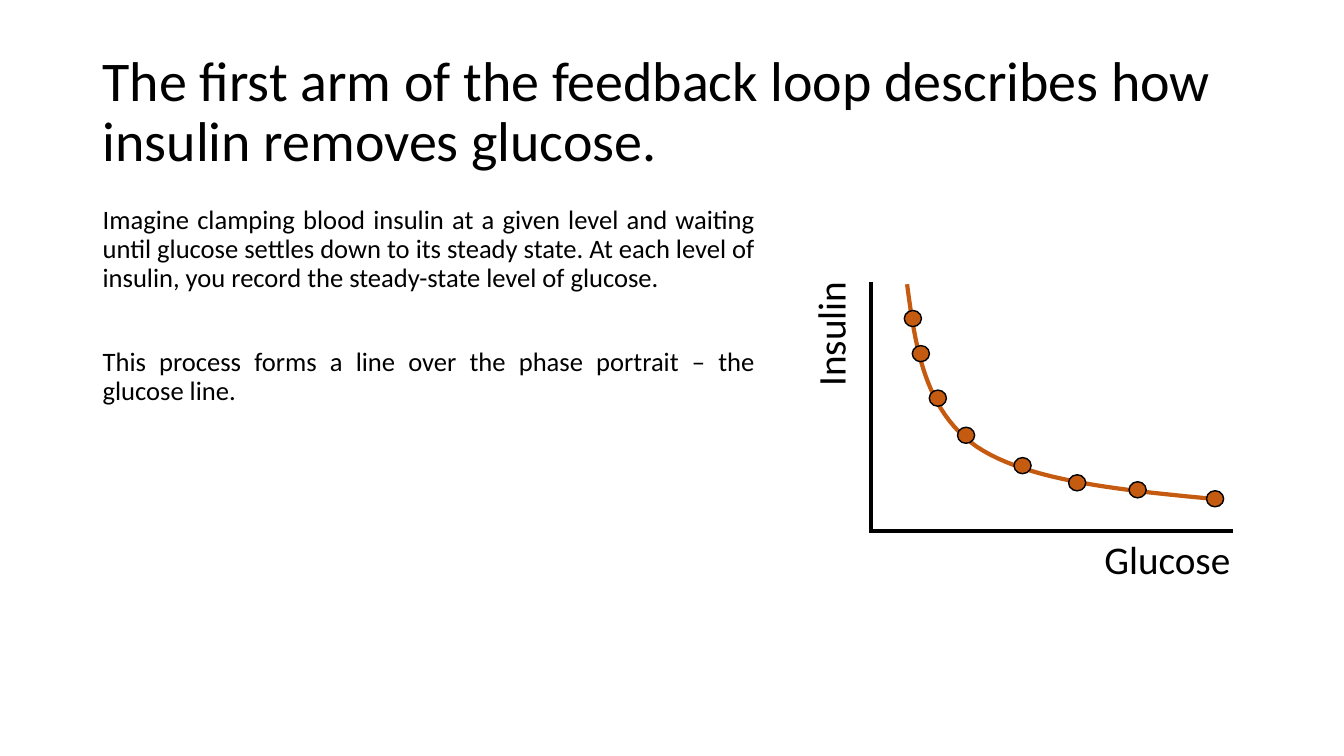
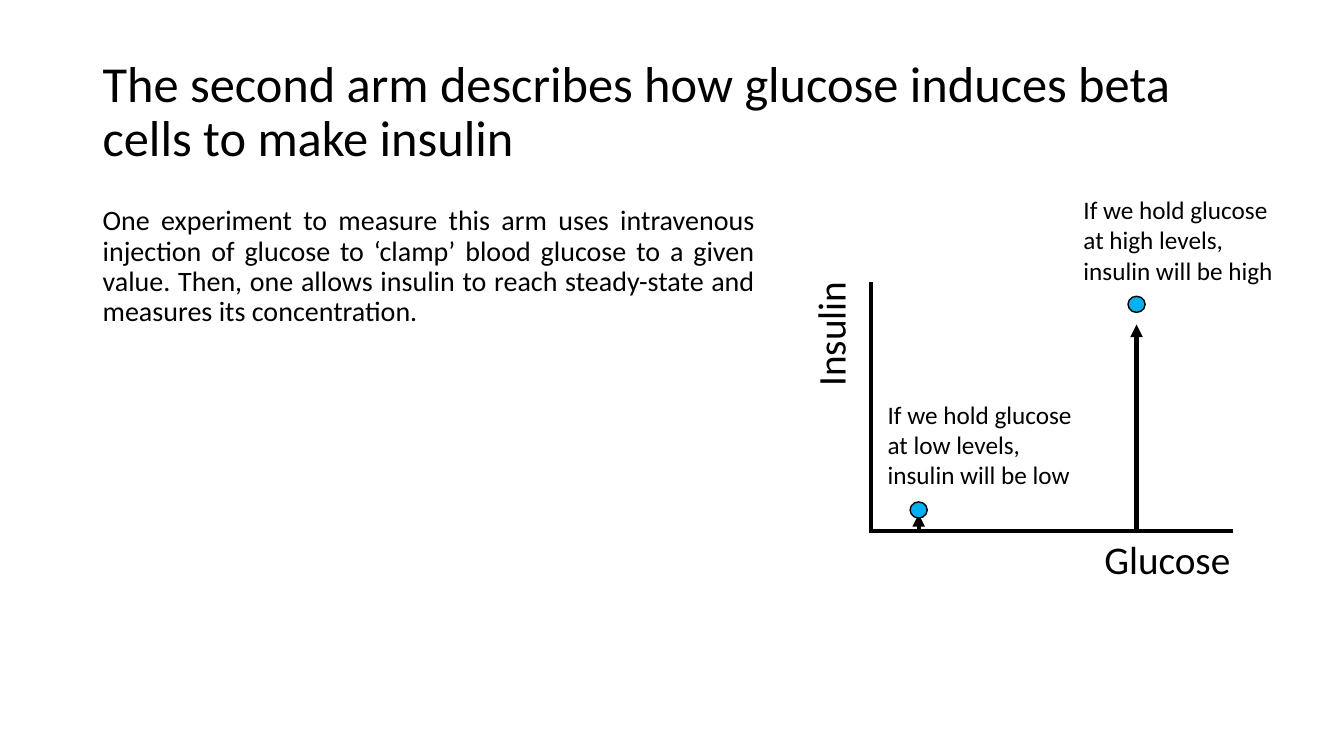
import dataclasses

import lxml.etree
import pptx
import pptx.dml.color
import pptx.enum.shapes
import pptx.enum.text
import pptx.oxml.ns
import pptx.util

WIDTH = pptx.util.Inches(13.33)
HEIGHT = pptx.util.Inches(7.5)
FONT = "Calibri"
BLACK = "000000"
ORANGE = "C55A11"
BLUE = "00B0F0"
ALIGN = pptx.enum.text.PP_ALIGN
ANCHOR = pptx.enum.text.MSO_ANCHOR
DOT_WIDTH = pptx.util.Inches(0.17)
DOT_HEIGHT = pptx.util.Inches(0.16)
CURVE_STEPS = 24


@dataclasses.dataclass
class Box:
    left: int
    top: int
    width: int
    height: int

    def point(self, glucose, insulin):
        return (round(self.left + self.width * glucose / 100),
                round(self.top + self.height * (1 - insulin / 100)))

    def region(self, left, top, width, height):
        x, y = self.point(left, top)
        return Box(x, y, round(self.width * width / 100), round(self.height * height / 100))

    def centred(self, glucose, insulin, width, height):
        x, y = self.point(glucose, insulin)
        return Box(x - width // 2, y - height // 2, width, height)


def slide_share(left, top, width, height):
    return Box(round(WIDTH * left / 100), round(HEIGHT * top / 100),
               round(WIDTH * width / 100), round(HEIGHT * height / 100))


TITLE = slide_share(6.9, 5.33, 86.25, 19.33)
BODY = slide_share(6.9, 26.67, 50, 63.47)
PLOT = slide_share(64.8, 37.33, 26.93, 32.93)


def colour(code):
    return pptx.dml.color.RGBColor.from_string(code)


def style_line(line, code, width):
    line.color.rgb = colour(code)
    line.width = pptx.util.Pt(width)


def add_text(page, box, paragraphs, size, align=ALIGN.LEFT, anchor=ANCHOR.TOP,
             line_spacing=1.0, gap=0, wrap=True):
    shape = page.shapes.add_textbox(box.left, box.top, box.width, box.height)
    frame = shape.text_frame
    frame.word_wrap = wrap
    frame.vertical_anchor = anchor
    for index, text in enumerate(paragraphs):
        para = frame.add_paragraph() if index else frame.paragraphs[0]
        para.text = text
        para.alignment = align
        para.line_spacing = line_spacing
        para.space_before = pptx.util.Pt(gap if index else 0)
        para.font.name = FONT
        para.font.size = pptx.util.Pt(size)
        para.font.color.rgb = colour(BLACK)
    return shape


def add_line(page, start, end, arrow=False):
    line = page.shapes.add_connector(pptx.enum.shapes.MSO_CONNECTOR.STRAIGHT, *start, *end)
    style_line(line.line, BLACK, 3)
    properties = line._element.spPr
    if arrow:
        outline = properties.find(pptx.oxml.ns.qn("a:ln"))
        lxml.etree.SubElement(outline, pptx.oxml.ns.qn("a:tailEnd"), type="triangle")
    lxml.etree.SubElement(properties, pptx.oxml.ns.qn("a:effectLst"))


def add_dot(page, box, glucose, insulin, code):
    place = box.centred(glucose, insulin, DOT_WIDTH, DOT_HEIGHT)
    dot = page.shapes.add_shape(pptx.enum.shapes.MSO_SHAPE.OVAL,
                                place.left, place.top, place.width, place.height)
    dot.shadow.inherit = False
    dot.fill.solid()
    dot.fill.fore_color.rgb = colour(code)
    style_line(dot.line, BLACK, 1)


def bezier(controls, share):
    while len(controls) > 1:
        controls = [tuple(a + (b - a) * share for a, b in zip(first, second))
                    for first, second in zip(controls, controls[1:])]
    return controls[0]


def add_curve(page, box, controls, code):
    points = [box.point(*controls[0])]
    for start in range(0, len(controls) - 1, 3):
        segment = controls[start:start + 4]
        points += [box.point(*bezier(segment, step / CURVE_STEPS))
                   for step in range(1, CURVE_STEPS + 1)]
    builder = page.shapes.build_freeform(*points[0])
    builder.add_line_segments(points[1:], close=False)
    curve = builder.convert_to_shape()
    curve.shadow.inherit = False
    curve.fill.background()
    style_line(curve.line, code, 3)


def add_axes(page, box):
    add_line(page, box.point(0, 100), box.point(0, -0.4))
    add_line(page, box.point(100, 0), box.point(-0.6, 0))
    height = round(box.height * 0.23)
    for text, glucose, insulin, width, turn in (("Insulin", -11.3, 79.1, 0.35, 270),
                                                ("Glucose", 81.9, -11.1, 0.41, 0)):
        place = box.centred(glucose, insulin, round(box.width * width), height)
        label = add_text(page, place, [text], 28, align=ALIGN.CENTER, wrap=False)
        label.rotation = turn


def add_glucose_line(page, box):
    controls = [(10, 99.2), (12.3, 74.1), (14.8, 48.6), (29.2, 34),
                (43.7, 19.8), (70.8, 16.2), (97.5, 12.6)]
    steady_states = [(11.6, 85.4), (13.8, 71.3), (18.5, 53.4), (26.3, 38.5),
                     (41.9, 26.3), (57, 19.4), (73.7, 16.6), (95.1, 13)]
    add_curve(page, box, controls, ORANGE)
    add_axes(page, box)
    for glucose, insulin in steady_states:
        add_dot(page, box, glucose, insulin, ORANGE)


def add_clamp_levels(page, box):
    add_axes(page, box)
    for level, glucose, insulin, arrow_tip, note_left, note_top in (
            ("low", 13.2, 8.5, 6.9, 1.9, 55.1),
            ("high", 73.4, 91.1, 83, 56, 137.2)):
        add_line(page, box.point(glucose, 0), box.point(glucose, arrow_tip), arrow=True)
        note = f"If we hold glucose at {level} levels, insulin will be {level}"
        add_text(page, box.region(note_left, note_top, 61, 41), [note], 18)
        add_dot(page, box, glucose, insulin, BLUE)


def add_page(deck, title, title_size, paragraphs, body_size, add_plot):
    page = deck.slides.add_slide(deck.slide_layouts[6])
    add_text(page, TITLE, [title], title_size, anchor=ANCHOR.MIDDLE, line_spacing=0.9)
    add_text(page, BODY, paragraphs, body_size, align=ALIGN.JUSTIFY, line_spacing=0.9, gap=40)
    add_plot(page, PLOT)


def main():
    deck = pptx.Presentation()
    deck.slide_width = WIDTH
    deck.slide_height = HEIGHT
    add_page(deck,
             "The first arm of the feedback loop describes how insulin removes glucose.", 40,
             ["Imagine clamping blood insulin at a given level and waiting until glucose "
              "settles down to its steady state. At each level of insulin, you record the "
              "steady-state level of glucose.",
              "This process forms a line over the phase portrait – the glucose line."], 19,
             add_glucose_line)
    add_page(deck,
             "The second arm describes how glucose induces beta cells to make insulin", 36,
             ["One experiment to measure this arm uses intravenous injection of glucose to "
              "‘clamp’ blood glucose to a given value. Then, one allows insulin to reach "
              "steady-state and measures its concentration."], 20,
             add_clamp_levels)
    deck.save("out.pptx")


if __name__ == "__main__":
    main()
